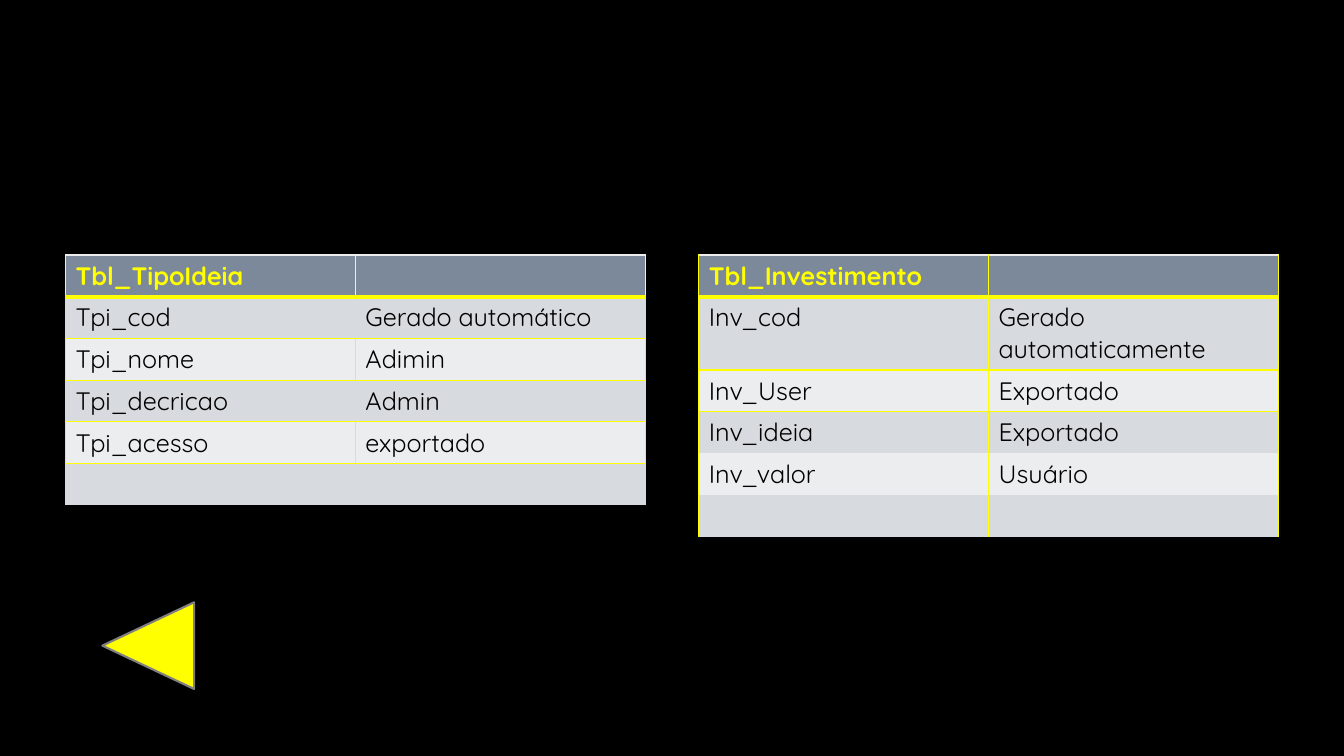
from pptx import Presentation
from pptx import util as u
from pptx.dml.color import RGBColor
from pptx.enum import shapes
from pptx.oxml.ns import qn
from lxml import etree

FONT = "Quicksand"
YELLOW, LIGHT, BLACK = "FFFF00", "ECEDEF", "000000"
HEADER, BAND = "7C899A", "D7DADE"


def rgb(value):
    return RGBColor.from_string(value)


def set_border(cell, side, color, width):
    """Draw one cell edge; a color of None leaves it clear."""
    tcPr = cell._tc.get_or_add_tcPr()
    ln = etree.SubElement(tcPr, qn("a:ln" + side), w=str(u.Pt(width)))
    if color is None:
        etree.SubElement(ln, qn("a:noFill"))
    else:
        fill = etree.SubElement(ln, qn("a:solidFill"))
        etree.SubElement(fill, qn("a:srgbClr"), val=color)


def add_fields_table(s, box, rows, side_color, ruled_rows):
    """Table of field names; ruled_rows are the rows with a line below."""
    x, y, w, row_h = (u.Inches(v) for v in box)
    tbl = s.shapes.add_table(len(rows), 2, x, y, w, row_h * len(rows)).table
    tbl.first_row = tbl.horz_banding = False

    def rule_below(i):
        if i == 0:
            return YELLOW, 3
        return (YELLOW if i in ruled_rows else None), 1

    for i, row in enumerate(rows):
        for j, label in enumerate(row):
            cell = tbl.cell(i, j)
            # Edges come before the fill in the cell properties
            side = side_color if i == 0 or side_color == YELLOW else BAND
            set_border(cell, "L", side, 1)
            set_border(cell, "R", side, 1)
            set_border(cell, "T", *(rule_below(i - 1) if i else (LIGHT, 1)))
            set_border(cell, "B", *rule_below(i))
            cell.fill.solid()
            cell.fill.fore_color.rgb = rgb(
                HEADER if i == 0 else BAND if i % 2 else LIGHT)
            p = cell.text_frame.paragraphs[0]
            p.font.size, p.font.name = u.Pt(18), FONT
            if label:
                r = p.add_run()
                r.text = label
                r.font.size, r.font.name = u.Pt(18), FONT
                r.font.bold = i == 0
                r.font.color.rgb = rgb(YELLOW if i == 0 else BLACK)


def add_back_arrow(s, box):
    """Triangle turned to point left."""
    sp = s.shapes.add_shape(shapes.MSO_SHAPE.ISOSCELES_TRIANGLE,
                            *(u.Inches(v) for v in box))
    sp.rotation = 270
    sp.shadow.inherit = False
    sp.fill.solid()
    sp.fill.fore_color.rgb = rgb(YELLOW)
    sp.line.color.rgb = rgb("7F7F7F")
    sp.line.width = u.Pt(1.5)


def main():
    prs = Presentation()
    prs.slide_width, prs.slide_height = u.Inches(13.33), u.Inches(7.5)
    s = prs.slides.add_slide(prs.slide_layouts[6])
    s.background.fill.solid()
    s.background.fill.fore_color.rgb = rgb(BLACK)

    # Idea types
    add_fields_table(s, (0.65, 2.53, 5.75, 0.41), [
        ("Tbl_TipoIdeia", ""),
        ("Tpi_cod", "Gerado automático"),
        ("Tpi_nome", "Adimin"),
        ("Tpi_decricao", "Admin"),
        ("Tpi_acesso", "exportado"),
        ("", ""),
    ], LIGHT, (1, 2, 3, 4))

    # Investments
    add_fields_table(s, (6.93, 2.53, 5.75, 0.41), [
        ("Tbl_Investimento", ""),
        ("Inv_cod", "Gerado automaticamente"),
        ("Inv_User", "Exportado"),
        ("Inv_ideia", "Exportado"),
        ("Inv_valor", "Usuário"),
        ("", ""),
    ], YELLOW, (1, 2))

    add_back_arrow(s, (1.04, 5.95, 0.86, 0.91))
    prs.save("out.pptx")


if __name__ == "__main__":
    main()
